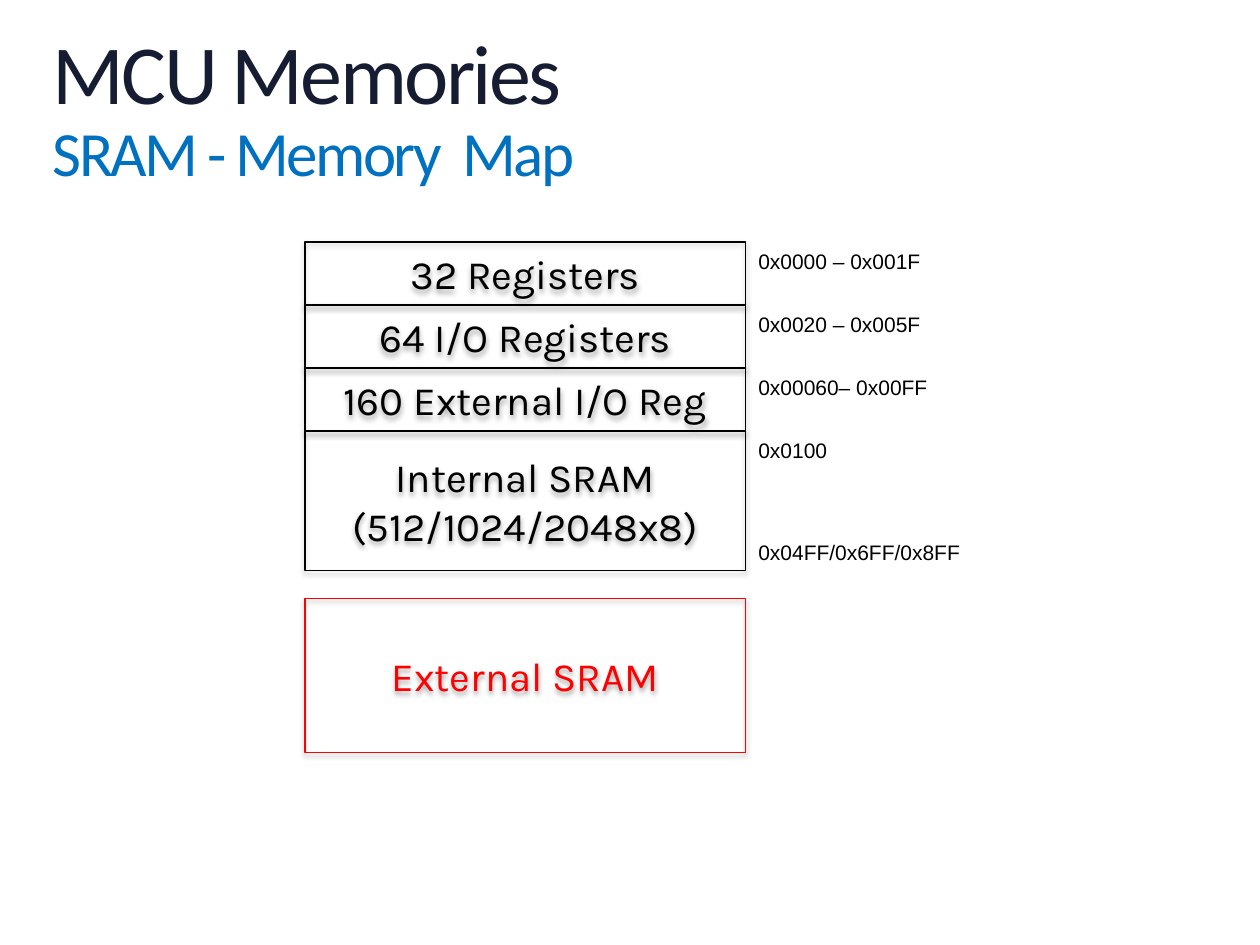
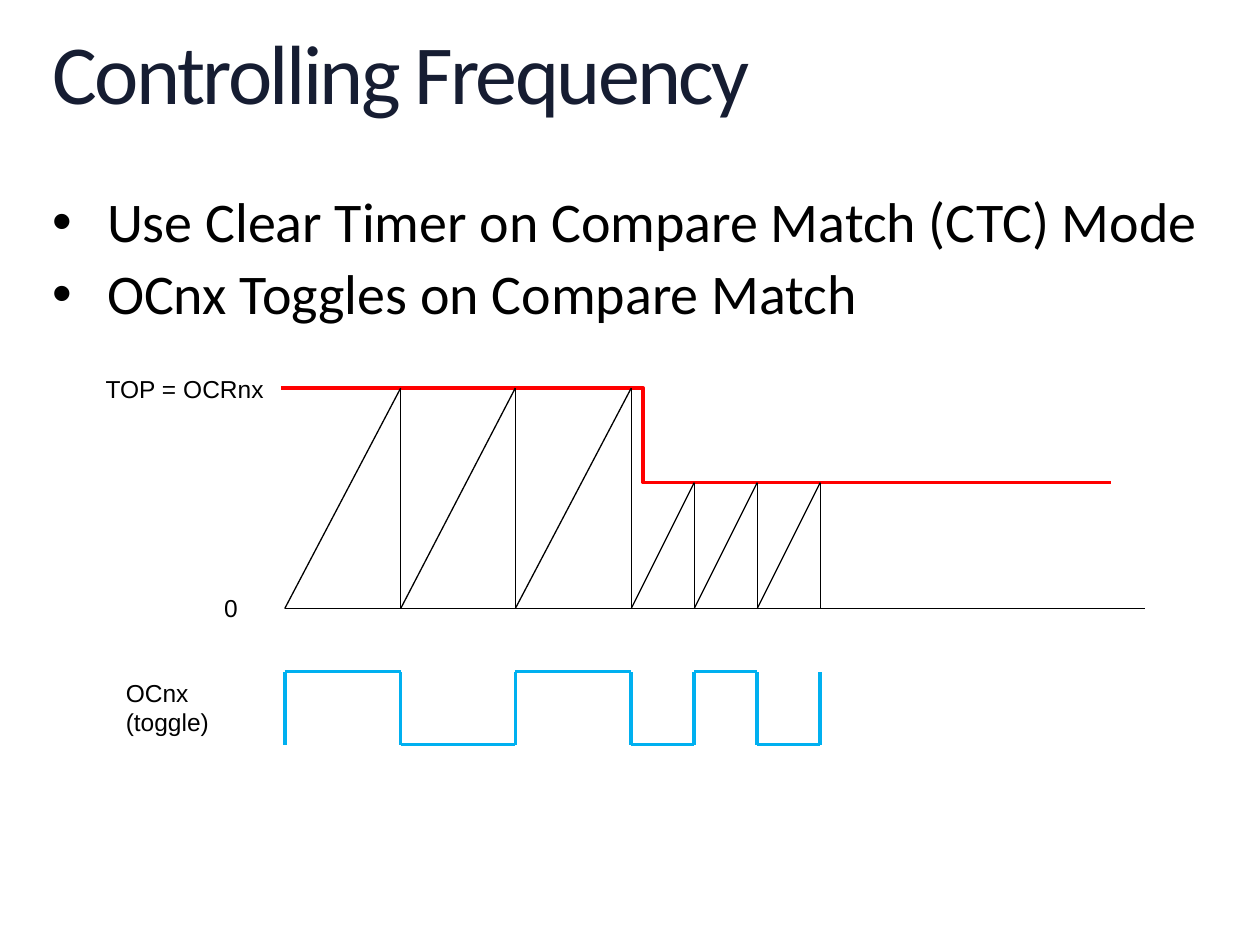
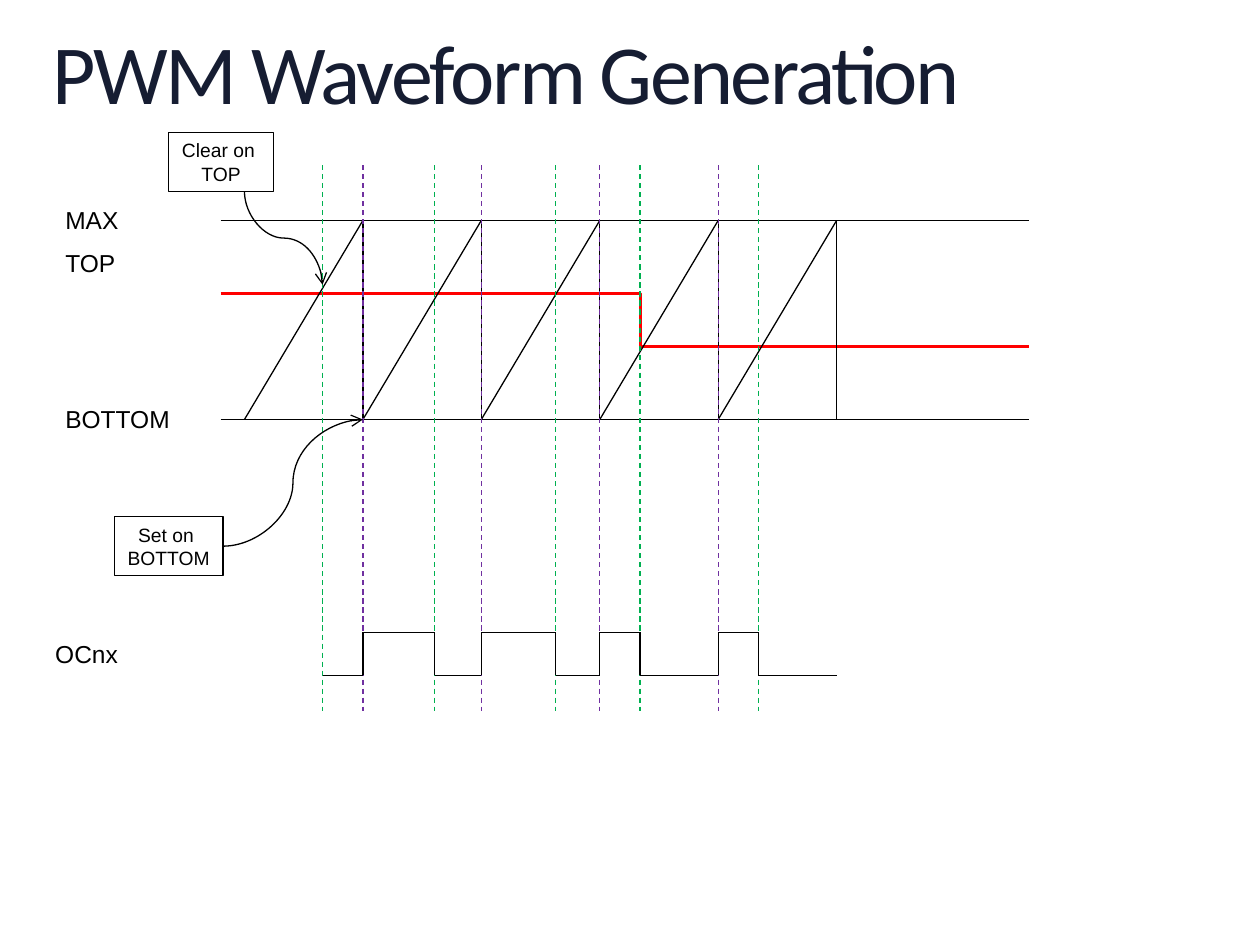
from dataclasses import dataclass
from itertools import pairwise

from lxml.etree import SubElement
from pptx import Presentation
from pptx.dml.color import RGBColor
from pptx.enum.dml import MSO_LINE
from pptx.enum.shapes import MSO_CONNECTOR as Link, MSO_SHAPE
from pptx.enum.text import MSO_ANCHOR, MSO_AUTO_SIZE, PP_ALIGN
from pptx.oxml.ns import qn
from pptx.util import Inches, Pt


@dataclass(frozen=True)
class Theme:
    ink: str = "000000"
    title: str = "161D32"
    subtitle: str = "0070C0"
    red: str = "FF0000"
    wave: str = "00B0F0"
    match: str = "00B050"
    overflow: str = "7030A0"
    heading_font: str = "Calibri"
    block_font: str = "Karla"
    label_font: str = "Arial"
    title_size: float = 48
    subtitle_size: float = 36
    bullet_size: float = 32
    block_size: float = 23
    label_size: float = 14
    address_size: float = 12
    note_size: float = 11
    thin: float = 0.75
    thick: float = 2
    margin: float = 0.42
    content_width: float = 9.17


THEME = Theme()

MEMORY_LEFT, MEMORY_TOP, MEMORY_WIDTH, MEMORY_ROW = 2.42, 1.92, 3.5, 0.5
MEMORY_BLOCKS = [
    (["32 Registers"], 0, 0.5, THEME.ink),
    (["64 I/O Registers"], 1, 0.5, THEME.ink),
    (["160 External I/O Reg"], 2, 0.5, THEME.ink),
    (["Internal SRAM", "(512/1024/2048x8)"], 3, 1.11, THEME.ink),
    (["External SRAM"], 5.66, 1.22, THEME.red),
]
ADDRESSES = [
    ("0x0000 – 0x001F", 0, 1.5),
    ("0x0020 – 0x005F", 1, 1.5),
    ("0x00060– 0x00FF", 2, 1.55),
    ("0x0100", 3, 0.75),
    ("0x04FF/0x6FF/0x8FF", 4.62, 1.82),
]

BULLETS = [
    "Use Clear Timer on Compare Match (CTC) Mode",
    "OCnx Toggles on Compare Match",
]
CTC_EDGES = [2.26, 3.18, 4.09, 5.01, 5.51, 6.01, 6.51]
CTC_TOPS = [3.08] * 3 + [3.83] * 3
CTC_ZERO = 4.83
CTC_LABELS = [
    (["0"], 1.68, 4.66, 0.31, 0.34),
    (["TOP = OCRnx"], 0.74, 2.92, 1.46, 0.34),
    (["OCnx", "(toggle)"], 0.9, 5.33, 0.86, 0.57),
]

PWM_MAX, PWM_BOTTOM = 1.75, 3.33
PWM_LEFT, PWM_RIGHT = 1.75, 8.17
PWM_RAMPS = [1.94 + 0.94 * count for count in range(6)]
PWM_MATCHES = [2.56, 3.45, 4.41, 5.08, 6.02]
PWM_LABELS = [
    (["MAX"], 0.42, 1.58, 0.63, 0.34),
    (["BOTTOM"], 0.42, 3.16, 1.04, 0.34),
    (["TOP"], 0.42, 1.92, 0.6, 0.34),
    (["OCnx"], 0.34, 5.02, 0.7, 0.34),
]


def colour(value):
    return RGBColor.from_string(value)


def add_span(para, text, size, font, tint):
    span = para.add_run()
    span.text = text
    span.font.size = Pt(size)
    span.font.name = font
    span.font.color.rgb = colour(tint)
    return span


def fill_text(frame, lines, size, font, tint, align=PP_ALIGN.LEFT):
    for index, line in enumerate(lines):
        para = frame.paragraphs[0] if index == 0 else frame.add_paragraph()
        para.alignment = align
        add_span(para, line, size, font, tint)


def add_heading_box(page, top, height):
    frame = page.shapes.add_textbox(
        *map(Inches, (THEME.margin, top, THEME.content_width, height))).text_frame
    frame.word_wrap = True
    frame.margin_left = frame.margin_right = 0
    frame.margin_top = frame.margin_bottom = 0
    return frame


def add_title(page, title, subtitle=None):
    frame = add_heading_box(page, 0.25, 1.27 if subtitle else 0.73)
    para = frame.paragraphs[0]
    para.line_spacing = 0.9
    spans = [add_span(para, title, THEME.title_size, THEME.heading_font, THEME.title)]
    if subtitle:
        para.add_line_break()
        spans.append(add_span(para, subtitle, THEME.subtitle_size,
                              THEME.heading_font, THEME.subtitle))
    for span in spans:
        span._r.get_or_add_rPr().set("spc", "-150")


def add_bullets(page, items):
    frame = add_heading_box(page, 1.54, 1.08)
    fill_text(frame, items, THEME.bullet_size, THEME.heading_font, THEME.ink)
    for para in frame.paragraphs:
        para.line_spacing = 0.9
        para.space_before = Pt(THEME.bullet_size * 0.2)
        properties = para._p.get_or_add_pPr()
        properties.set("marL", str(Inches(0.43)))
        properties.set("indent", str(-Inches(0.43)))
        SubElement(properties, qn("a:buFont")).set("typeface", THEME.label_font)
        SubElement(properties, qn("a:buChar")).set("char", "•")


def add_label(page, lines, left, top, width, height, size=THEME.label_size):
    frame = page.shapes.add_textbox(*map(Inches, (left, top, width, height))).text_frame
    frame.word_wrap = False
    frame.auto_size = MSO_AUTO_SIZE.SHAPE_TO_FIT_TEXT
    fill_text(frame, lines, size, THEME.label_font, THEME.ink)


def add_box(page, lines, left, top, width, height, size, font, tint=THEME.ink):
    box = page.shapes.add_shape(
        MSO_SHAPE.RECTANGLE, *map(Inches, (left, top, width, height)))
    box.fill.background()
    box.line.color.rgb = colour(tint)
    box.line.width = Pt(THEME.thin)
    box.shadow.inherit = False
    box.text_frame.vertical_anchor = MSO_ANCHOR.MIDDLE
    fill_text(box.text_frame, lines, size, font, tint, PP_ALIGN.CENTER)
    return box


def add_soft_shadow(box):
    effects = box._element.spPr.find(qn("a:effectLst"))
    shadow = SubElement(effects, qn("a:outerShdw"), blurRad=str(Pt(3.1)),
                        dist=str(Pt(1.8)), dir="5400000", rotWithShape="0")
    tint = SubElement(shadow, qn("a:srgbClr"), val=THEME.ink)
    SubElement(tint, qn("a:alpha"), val="35000")


def add_line(page, start, end, tint=THEME.ink, width=THEME.thin,
             kind=Link.STRAIGHT, dashed=False, arrow=False):
    line = page.shapes.add_connector(kind, *map(Inches, (*start, *end)))
    line.line.color.rgb = colour(tint)
    line.line.width = Pt(width)
    if dashed:
        line.line.dash_style = MSO_LINE.DASH
    if arrow:
        SubElement(line.line._get_or_add_ln(), qn("a:tailEnd"), type="arrow")
    SubElement(line._element.spPr, qn("a:effectLst"))
    return line


def add_step(page, start, end, step):
    line = add_line(page, start, end, THEME.red, THEME.thick, Link.ELBOW)
    share = round((step - start[0]) / (end[0] - start[0]) * 100000)
    guides = line._element.spPr.find(qn("a:prstGeom")).get_or_add_avLst()
    SubElement(guides, qn("a:gd"), name="adj1", fmla=f"val {share}")


def add_downward_curve(page, start, end):
    (x1, y1), (x2, y2) = start, end
    middle_x, middle_y = (x1 + x2) / 2, (y1 + y2) / 2
    half_x, half_y = (x2 - x1) / 2, (y2 - y1) / 2
    line = add_line(page, (middle_x + half_y, middle_y - half_x),
                    (middle_x - half_y, middle_y + half_x),
                    kind=Link.CURVE, arrow=True)
    line._element.spPr.find(qn("a:xfrm")).set("rot", str(270 * 60000))


def add_sawtooth(page, edges, tops, bottom):
    for (left, right), top in zip(pairwise(edges), tops):
        add_line(page, (left, bottom), (right, top))
        add_line(page, (right, top), (right, bottom))


def add_square_wave(page, edges, risers, levels, tint, width):
    for index, (left, right) in enumerate(pairwise(edges)):
        level = levels[index % 2]
        add_line(page, (left, level), (right, level), tint, width)
    for edge in risers:
        add_line(page, (edge, max(levels)), (edge, min(levels)), tint, width)


def build_memory_map(page):
    add_title(page, "MCU Memories", "SRAM - Memory  Map")
    for lines, row, height, tint in MEMORY_BLOCKS:
        box = add_box(page, lines, MEMORY_LEFT, MEMORY_TOP + row * MEMORY_ROW,
                      MEMORY_WIDTH, height, THEME.block_size, THEME.block_font, tint)
        add_soft_shadow(box)
    for text, row, width in ADDRESSES:
        add_label(page, [text], MEMORY_LEFT + MEMORY_WIDTH,
                  MEMORY_TOP + row * MEMORY_ROW, width, 0.3, THEME.address_size)


def build_frequency(page):
    add_title(page, "Controlling Frequency")
    add_bullets(page, BULLETS)
    for label in CTC_LABELS:
        add_label(page, *label)
    add_line(page, (CTC_EDGES[0], CTC_ZERO), (9.09, CTC_ZERO))
    add_step(page, (2.23, CTC_TOPS[0]), (8.82, CTC_TOPS[-1]), 5.1)
    add_sawtooth(page, CTC_EDGES, CTC_TOPS, CTC_ZERO)
    add_square_wave(page, CTC_EDGES, CTC_EDGES, (5.33, 5.91), THEME.wave, THEME.thick)


def build_pwm(page):
    add_title(page, "PWM Waveform Generation")
    for level in (PWM_BOTTOM, PWM_MAX):
        add_line(page, (PWM_LEFT, level), (PWM_RIGHT, level))
    for label in PWM_LABELS:
        add_label(page, *label)
    add_step(page, (PWM_LEFT, 2.33), (PWM_RIGHT, 2.75), 5.08)
    add_sawtooth(page, PWM_RAMPS, [PWM_MAX] * 5, PWM_BOTTOM)

    resets = PWM_RAMPS[1:-1]
    for moments, tint in ((PWM_MATCHES, THEME.match), (resets, THEME.overflow)):
        for moment in moments:
            add_line(page, (moment, 1.31), (moment, 5.64), tint, dashed=True)

    note_style = (THEME.note_size, THEME.label_font)
    add_box(page, ["Clear on ", "TOP"], 1.34, 1.05, 0.83, 0.47, *note_style)
    add_downward_curve(page, (1.94, 1.52), (PWM_MATCHES[0], 2.26))
    set_note = add_box(page, ["Set on ", "BOTTOM"], 0.91, 4.1, 0.86, 0.47, *note_style)
    set_arrow = add_line(page, (1.77, 4.33), (resets[0], PWM_BOTTOM),
                         kind=Link.CURVE, arrow=True)
    set_arrow.begin_connect(set_note, 3)

    edges = sorted(PWM_MATCHES + PWM_RAMPS[1:])
    add_square_wave(page, edges, edges[1:-1], (5.36, 5.02), THEME.ink, THEME.thin)


def main():
    deck = Presentation()
    deck.slide_width, deck.slide_height = Inches(10), Inches(7.5)
    for build in (build_memory_map, build_frequency, build_pwm):
        build(deck.slides.add_slide(deck.slide_layouts[6]))
    deck.save("out.pptx")


if __name__ == "__main__":
    main()
